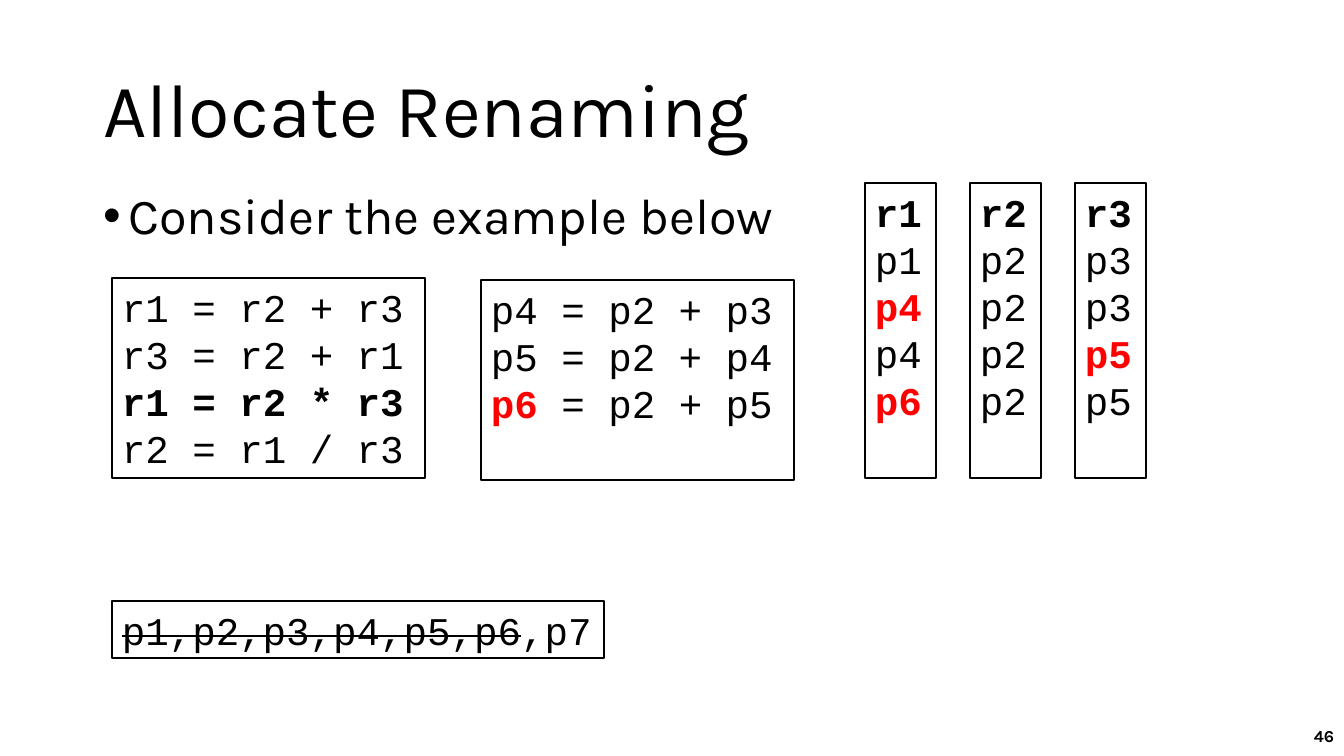
import pptx
import pptx.dml.color
import pptx.enum.shapes
import pptx.enum.text
import pptx.util
from lxml import etree

EMU_PER_INCH = 914400
PX_PER_INCH = 100.8
BLACK = pptx.dml.color.RGBColor(0, 0, 0)
WHITE = pptx.dml.color.RGBColor(255, 255, 255)
RED = pptx.dml.color.RGBColor(255, 0, 0)
ANCHOR = pptx.enum.text.MSO_ANCHOR
ALIGN = pptx.enum.text.PP_ALIGN

# Span styles: bold, colour, struck through
PLAIN = (False, BLACK, False)
BOLD = (True, BLACK, False)
RENAMED = (True, RED, False)
TAKEN = (False, BLACK, True)


def px(length):
    return pptx.util.Emu(round(length * EMU_PER_INCH / PX_PER_INCH))


class RenamingSlide:
    text_font = "Karla"
    code_font = "Courier New"
    code_size = 28

    def __init__(self, deck):
        self.page = deck.slides.add_slide(deck.slide_layouts[1])

    def format_span(self, span, font, size, style=PLAIN):
        bold, colour, struck = style
        span.font.name = font
        span.font.size = pptx.util.Pt(size)
        span.font.bold = bold
        span.font.color.rgb = colour
        if struck:
            span._r.get_or_add_rPr().set("strike", "sngStrike")

    def fill_text(self, box, text, size, align, anchor, style=PLAIN):
        frame = box.text_frame
        frame.text = text
        frame.word_wrap = True
        frame.auto_size = pptx.enum.text.MSO_AUTO_SIZE.NONE
        frame.vertical_anchor = anchor
        para = frame.paragraphs[0]
        para.alignment = align
        para.space_before = pptx.util.Pt(0)
        self.format_span(para.runs[0], self.text_font, size, style)
        return para

    def place(self, box, left, top, width, height):
        box.left, box.top = px(left), px(top)
        box.width, box.height = px(width), px(height)

    def title(self, text, *area):
        box = self.page.shapes.title
        self.place(box, *area)
        para = self.fill_text(box, text, 54, ALIGN.LEFT, ANCHOR.MIDDLE)
        para.line_spacing = 0.9

    def bullet(self, text, *area):
        box = self.page.placeholders[1]
        self.place(box, *area)
        para = self.fill_text(box, text, 36, ALIGN.LEFT, ANCHOR.TOP)
        para.line_spacing = 0.9
        properties = para._p.get_or_add_pPr()
        indent = pptx.util.Inches(0.25)
        properties.set("marL", str(indent))
        properties.set("indent", str(-indent))
        mark = etree.SubElement(properties, pptx.oxml.ns.qn("a:buChar"))
        mark.set("char", "•")

    def page_number(self, text, *area):
        box = self.page.shapes.add_textbox(*map(px, area))
        self.fill_text(box, text, 12, ALIGN.RIGHT, ANCHOR.MIDDLE, BOLD)

    def code_box(self, lines, *area):
        """Each line is a list of (text, style) spans."""
        box = self.page.shapes.add_shape(
            pptx.enum.shapes.MSO_SHAPE.RECTANGLE, *map(px, area))
        box.shadow.inherit = False
        box.fill.solid()
        box.fill.fore_color.rgb = WHITE
        box.line.color.rgb = BLACK
        box.line.width = pptx.util.Pt(1.5)
        frame = box.text_frame
        frame.word_wrap = True
        frame.vertical_anchor = ANCHOR.TOP
        for index, line in enumerate(lines):
            para = frame.add_paragraph() if index else frame.paragraphs[0]
            para.alignment = ALIGN.LEFT
            for text, style in line:
                span = para.add_run()
                span.text = text
                self.format_span(span, self.code_font, self.code_size, style)


def main():
    deck = pptx.Presentation()
    deck.slide_width, deck.slide_height = px(1344), px(756)
    slide = RenamingSlide(deck)

    # Heading, bullet and page number
    slide.title("Allocate Renaming", 93, 40, 1159, 146)
    slide.bullet("Consider the example below", 93, 186, 1159, 77)
    slide.page_number("46", 1041, 716, 303, 40)

    # Code before and after renaming
    slide.code_box([
        [("r1 = r2 + r3", PLAIN)],
        [("r3 = r2 + r1", PLAIN)],
        [("r1 = r2 * r3", BOLD)],
        [("r2 = r1 / r3", PLAIN)],
    ], 112, 278, 313, 200)
    slide.code_box([
        [("p4 = p2 + p3", PLAIN)],
        [("p5 = p2 + p4", PLAIN)],
        [("p6 ", RENAMED), ("= p2 + p5", PLAIN)],
    ], 481, 280, 313, 200)

    # Physical registers, taken ones struck through
    slide.code_box([[("p1,p2,p3,p4,p5,p6", TAKEN), (",p7", PLAIN)]],
                   112, 601, 492, 57)

    # Map table: register, its mapping per step, steps that rename it
    map_table = [
        ("r1", ["p1", "p4", "p4", "p6"], {1, 3}),
        ("r2", ["p2", "p2", "p2", "p2"], set()),
        ("r3", ["p3", "p3", "p5", "p5"], {2}),
    ]
    for column, (register, mappings, renames) in enumerate(map_table):
        lines = [[(register, BOLD)]]
        for step, name in enumerate(mappings):
            lines.append([(name, RENAMED if step in renames else PLAIN)])
        slide.code_box(lines, 865 + 105 * column, 183, 71, 295)

    deck.save("out.pptx")


if __name__ == "__main__":
    main()
